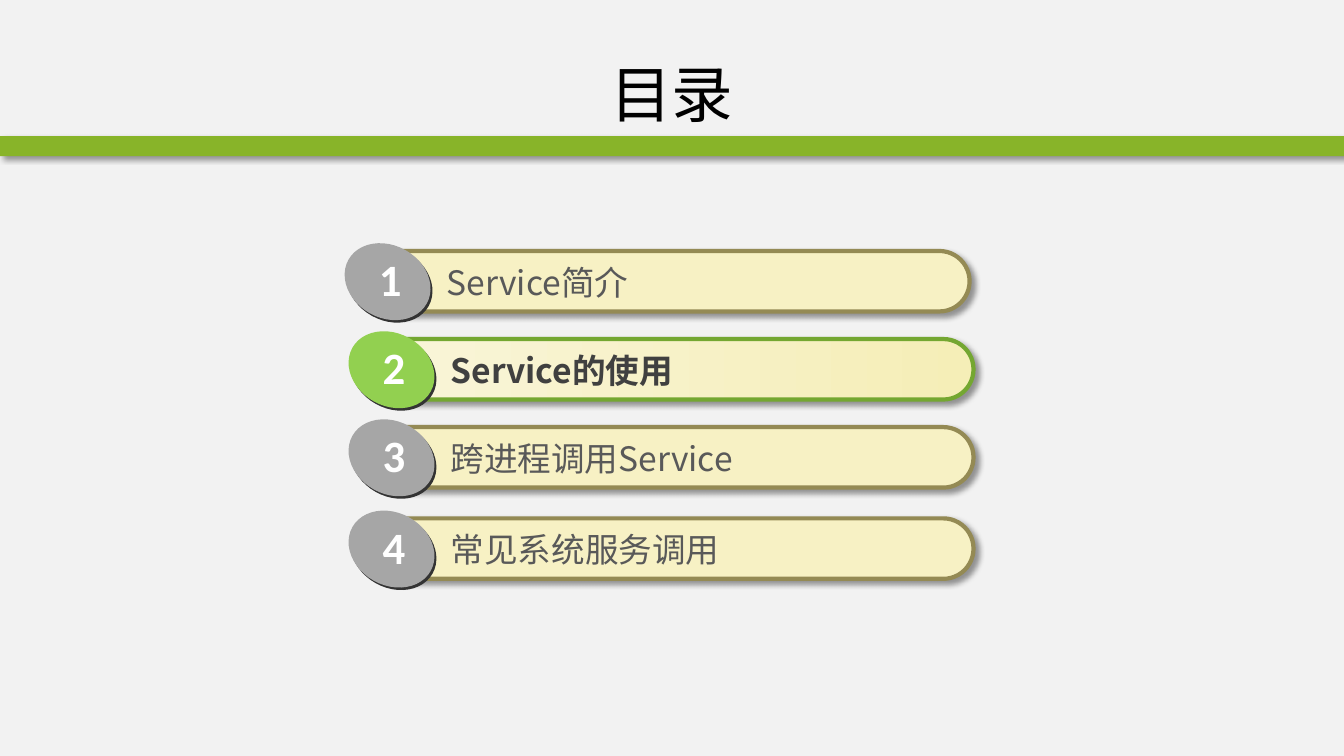
"""Build the contents slide with four numbered entries, the second one highlighted."""
from dataclasses import dataclass

from lxml.etree import SubElement
from pptx import Presentation
from pptx.dml.color import RGBColor
from pptx.enum.shapes import MSO_SHAPE as Preset
from pptx.enum.text import MSO_ANCHOR as Anchor, MSO_AUTO_SIZE as AutoSize, PP_ALIGN as Align
from pptx.oxml.ns import qn
from pptx.shapes.autoshape import Shape
from pptx.slide import Slide
from pptx.text.text import TextFrame
from pptx.util import Pt


@dataclass(frozen=True)
class Theme:
    """Colours, fonts and type sizes of the slide."""
    background: str = "F2F2F2"
    band: str = "88B429"
    title: str = "000000"
    number: str = "FFFFFF"
    disc_edge: str = "333333"
    shadow: str = "000000"
    text_font: str = "Noto Sans CJK SC"
    number_font: str = "Calibri"
    title_size: float = 44
    label_size: float = 24
    number_size: float = 32


@dataclass(frozen=True)
class EntryStyle:
    """Look of a contents entry; two bar colours make a gradient."""
    bar: tuple[str, ...]
    outline: str
    disc: str
    label: str
    bold: bool = False


@dataclass(frozen=True)
class Entry:
    """A contents entry, placed by the corner of its bar."""
    label: str
    left: float
    top: float
    label_width: float
    style: EntryStyle


THEME = Theme()
PLAIN = EntryStyle(("F7F1C4",), "948A54", "A6A6A6", "595959")
CURRENT = EntryStyle(("F9F5D9", "F5EEB7"), "74A731", "92D050", "404040", bold=True)
ENTRIES = (
    Entry("Service简介", 260.6, 179.3, 330.5, PLAIN),
    Entry("Service的使用", 263.4, 242.2, 330.5, CURRENT),
    Entry("跨进程调用Service", 263.4, 305.1, 352.8, PLAIN),
    Entry("常见系统服务调用", 263.4, 370.3, 366.5, PLAIN),
)


def rgb(code: str) -> RGBColor:
    """Turn a hex code into a colour."""
    return RGBColor.from_string(code)


def write(frame: TextFrame, text: str, *, size: float, color: str, font: str,
          bold: bool = False, align: Align = Align.LEFT) -> None:
    """Put one formatted line into a text frame."""
    line = frame.paragraphs[0]
    line.alignment = align
    run = line.add_run()
    run.text = text
    run.font.size = Pt(size)
    run.font.bold = bold
    run.font.color.rgb = rgb(color)
    run.font.name = font
    SubElement(run.font._element, qn("a:ea"), typeface=font)


def add_caption(shapes, text: str, left: float, top: float, width: float, height: float,
                *, wrap: bool = True, **text_format) -> None:
    """Add a text box that grows with its text."""
    caption = shapes.add_textbox(Pt(left), Pt(top), Pt(width), Pt(height))
    caption.text_frame.word_wrap = wrap
    caption.text_frame.auto_size = AutoSize.SHAPE_TO_FIT_TEXT
    write(caption.text_frame, text, **text_format)


def add_form(shapes, preset: Preset, left: float, top: float, width: float, height: float,
             fill: tuple[str, ...]) -> Shape:
    """Add a preset shape with a solid or gradient fill and no outline."""
    form = shapes.add_shape(preset, Pt(left), Pt(top), Pt(width), Pt(height))
    form.line.fill.background()
    form.shadow.inherit = False
    if len(fill) == 1:
        form.fill.solid()
        form.fill.fore_color.rgb = rgb(fill[0])
    else:
        form.fill.gradient()
        form.fill.gradient_angle = 0
        for stop, code in zip(form.fill.gradient_stops, fill):
            stop.color.rgb = rgb(code)
    return form


def cast_shadow(form: Shape) -> None:
    """Give a shape a soft shadow towards the lower right."""
    effects = form._element.spPr.find(qn("a:effectLst"))
    outer = SubElement(effects, qn("a:outerShdw"), blurRad=str(Pt(4)), dist=str(Pt(3)),
                       dir=str(45 * 60000), algn="tl", rotWithShape="0")
    tint = SubElement(outer, qn("a:srgbClr"), val=THEME.shadow)
    SubElement(tint, qn("a:alpha"), val="40000")


def add_entry(slide: Slide, number: int, entry: Entry) -> None:
    """Draw one grouped entry: bar, label, two-layer disc and number."""
    shapes = slide.shapes.add_group_shape().shapes
    style, left, top = entry.style, entry.left, entry.top
    bar = add_form(shapes, Preset.ROUNDED_RECTANGLE, left, top, 432, 43.2, style.bar)
    bar.adjustments[0] = 0.5
    bar.line.color.rgb = rgb(style.outline)
    bar.line.width = Pt(3)
    cast_shadow(bar)
    add_caption(shapes, entry.label, left + 51.4, top + 3.9, entry.label_width, 36.4,
                size=THEME.label_size, color=style.label, font=THEME.text_font,
                bold=style.bold)
    for dx, dy, color in ((-14.4, -2.2, THEME.disc_edge), (-15.8, -4, style.disc)):
        disc = add_form(shapes, Preset.OVAL, left + dx, top + dy, 64.1, 51.8, (color,))
        disc.rotation = 29.3
    add_caption(shapes, str(number), left + 2.9, top - 2.8, 31, 46.1, wrap=False,
                size=THEME.number_size, color=THEME.number, font=THEME.number_font,
                bold=True)


def add_heading(slide: Slide, text: str) -> None:
    """Place the title and the band beneath it."""
    band = add_form(slide.shapes, Preset.RECTANGLE, 0, 97.2, 960, 14.4, (THEME.band,))
    cast_shadow(band)
    title = slide.shapes.title
    title.left, title.top, title.width, title.height = Pt(48), Pt(21.6), Pt(864), Pt(90)
    title.text_frame.vertical_anchor = Anchor.MIDDLE
    write(title.text_frame, text, size=THEME.title_size, color=THEME.title,
          font=THEME.text_font, align=Align.CENTER)


def main() -> None:
    """Build and save the slide."""
    deck = Presentation()
    deck.slide_width, deck.slide_height = Pt(960), Pt(540)
    slide = deck.slides.add_slide(deck.slide_layouts[5])
    slide.background.fill.solid()
    slide.background.fill.fore_color.rgb = rgb(THEME.background)
    add_heading(slide, "目录")
    for number, entry in enumerate(ENTRIES, start=1):
        add_entry(slide, number, entry)
    deck.save("out.pptx")


if __name__ == "__main__":
    main()
